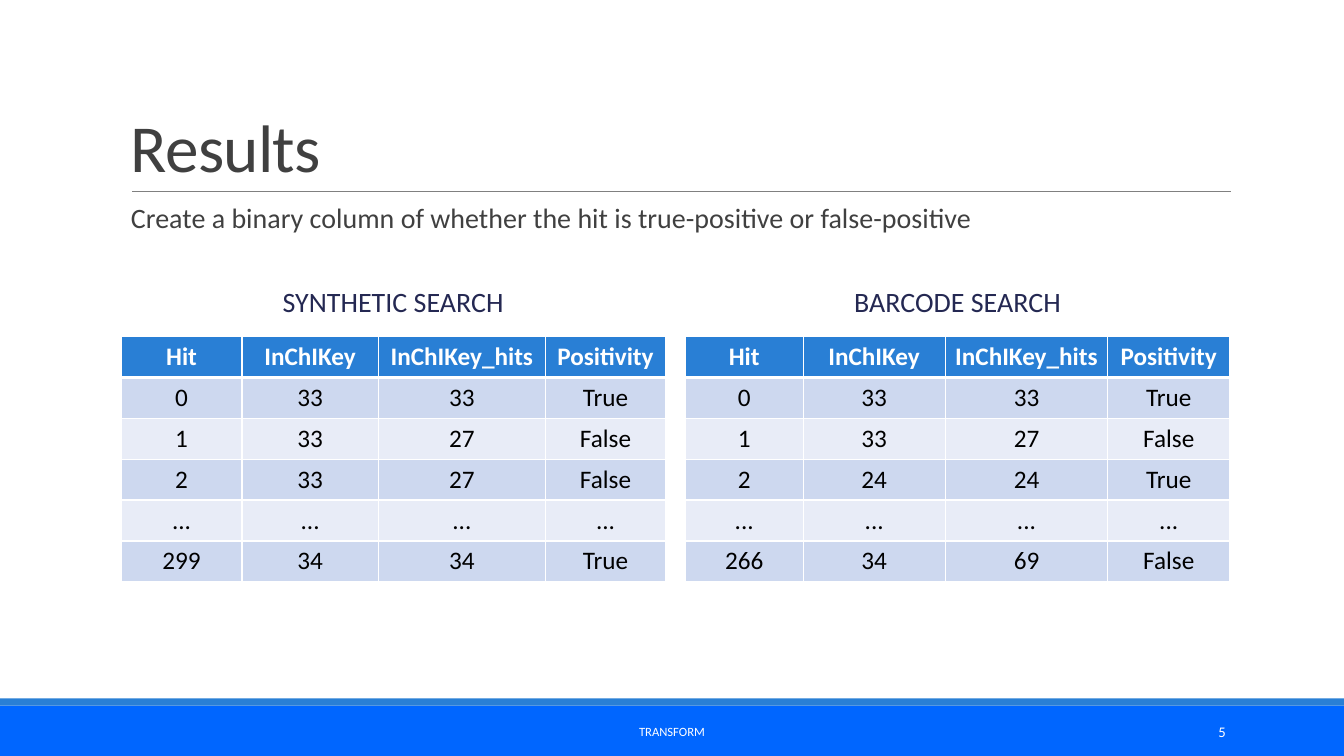
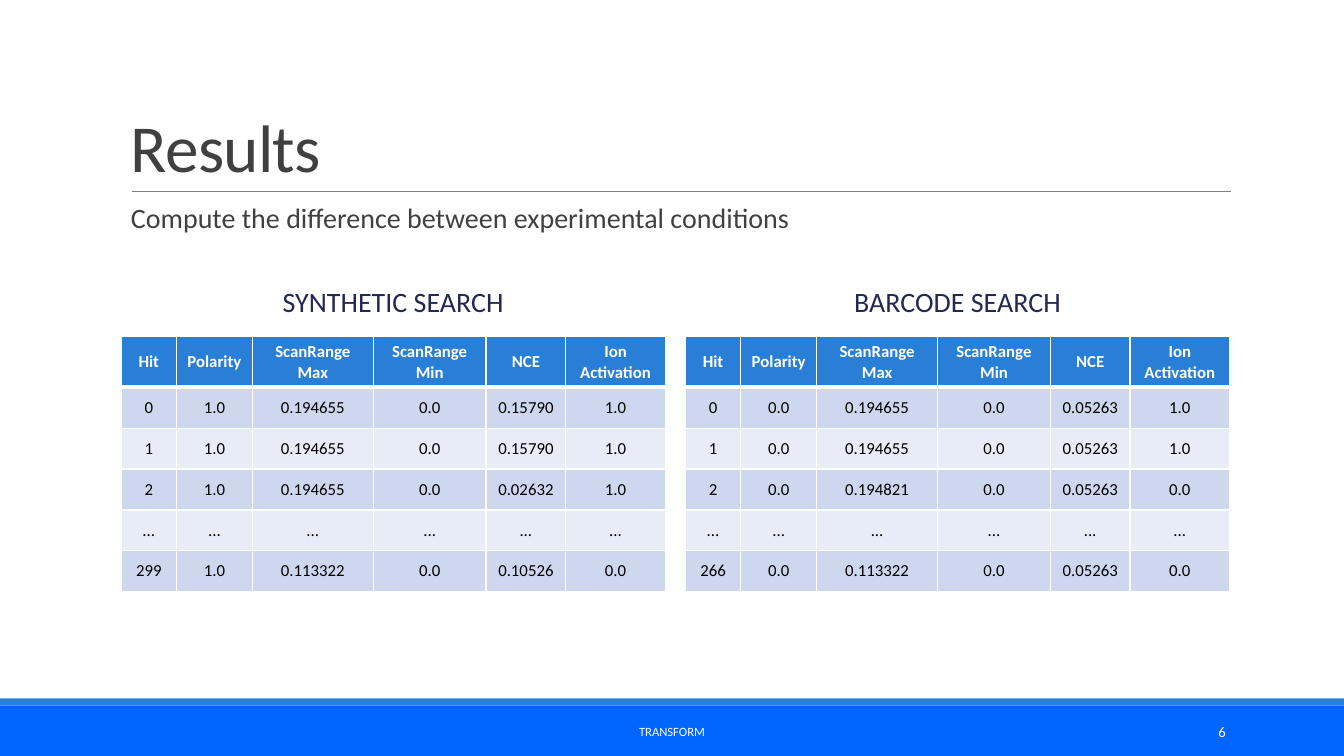
from pptx import Presentation
from pptx import util as u
from pptx.dml.color import RGBColor
from pptx.enum import shapes, text
from pptx.oxml import parse_xml
from pptx.oxml.ns import nsdecls
from pptx.util import Cm

FOOTER = RGBColor(0x00, 0x66, 0xFF)
ACCENT = RGBColor(0x29, 0x7F, 0xD5)
RULE = RGBColor(0x80, 0x80, 0x80)
INK = RGBColor(0x40, 0x40, 0x40)
NAVY = RGBColor(0x24, 0x28, 0x52)
WHITE = RGBColor(0xFF, 0xFF, 0xFF)
BLACK = RGBColor(0x00, 0x00, 0x00)
BANDS = (RGBColor(0xE8, 0xEC, 0xF7), RGBColor(0xCD, 0xD8, 0xEF))

FONT = "Calibri"
LEFT, CENTER, RIGHT = text.PP_ALIGN.LEFT, text.PP_ALIGN.CENTER, text.PP_ALIGN.RIGHT
TOP, MIDDLE, BOTTOM = text.MSO_ANCHOR.TOP, text.MSO_ANCHOR.MIDDLE, text.MSO_ANCHOR.BOTTOM

WIDTH, HEIGHT = 33.87, 19.05
MARGIN, CONTENT_W = 3.05, 27.94
PANEL_W, PANEL_TOP = 13.72, 6.99
PANEL_STEP = CONTENT_W - PANEL_W
CAPTION_H, TABLE_DROP, ROW_H = 1.3, 1.49, 1.03

TITLE = dict(size=48, color=INK, anchor=BOTTOM, para=dict(line_spacing=0.85))
BODY_PARA = dict(line_spacing=0.9, space_before=u.Pt(12), space_after=u.Pt(2))
LEAD = dict(size=20, color=INK, anchor=TOP, para=BODY_PARA)
CAPTION = dict(size=20, color=NAVY, anchor=MIDDLE, para=dict(BODY_PARA, alignment=CENTER))
FOOT_TEXT = dict(size=9, color=WHITE, anchor=MIDDLE, para=dict(alignment=CENTER))
FOOT_NUMBER = dict(size=10.5, color=WHITE, anchor=MIDDLE, para=dict(alignment=RIGHT))

HIT_HEADS = ["Hit", "InChIKey", "InChIKey_hits", "Positivity"]
CONDITION_HEADS = ["Hit", "Polarity", "ScanRange\nMax", "ScanRange\nMin", "NCE", "Ion\nActivation"]
CONDITION_COLS = (1.4, 1.91, 3.05, 2.84, 2.01, 2.51)

SLIDES = [
    dict(
        lead="Create a binary column of whether the hit is true-positive or false-positive",
        heads=HIT_HEADS, size=18, head_h=ROW_H,
        panels=[
            ("SYNTHETIC SEARCH", (3.05, 3.43, 4.22, 3.02),
             ["0 33 33 True", "1 33 27 False", "2 33 27 False",
              "... ... ... ...", "299 34 34 True"]),
            ("BARCODE SEARCH", (2.97, 3.58, 4.1, 3.07),
             ["0 33 33 True", "1 33 27 False", "2 24 24 True",
              "... ... ... ...", "266 34 69 False"]),
        ],
    ),
    dict(
        lead="Compute the difference between experimental conditions",
        heads=CONDITION_HEADS, size=12, head_h=1.28,
        panels=[
            ("SYNTHETIC SEARCH", CONDITION_COLS,
             ["0 1.0 0.194655 0.0 0.15790 1.0", "1 1.0 0.194655 0.0 0.15790 1.0",
              "2 1.0 0.194655 0.0 0.02632 1.0", "... ... ... ... ... ...",
              "299 1.0 0.113322 0.0 0.10526 0.0"]),
            ("BARCODE SEARCH", CONDITION_COLS,
             ["0 0.0 0.194655 0.0 0.05263 1.0", "1 0.0 0.194655 0.0 0.05263 1.0",
              "2 0.0 0.194821 0.0 0.05263 0.0", "... ... ... ... ... ...",
              "266 0.0 0.113322 0.0 0.05263 0.0"]),
        ],
    ),
]


def apply(obj, formats):
    for name, value in formats.items():
        setattr(obj, name, value)


def set_font(font, size, color, bold=False):
    apply(font, dict(name=FONT, size=u.Pt(size), bold=bold))
    font.color.rgb = color


def add_text(s, box, words, size, color, anchor, para):
    tf = s.shapes.add_textbox(*map(Cm, box)).text_frame
    apply(tf, dict(word_wrap=True, vertical_anchor=anchor))
    p = tf.paragraphs[0]
    apply(p, para)
    r = p.add_run()
    r.text = words
    set_font(r.font, size, color)
    return r


def add_band(s, box, color):
    sp = s.shapes.add_shape(shapes.MSO_SHAPE.RECTANGLE, *map(Cm, box))
    sp.shadow.inherit = False
    sp.fill.solid()
    sp.fill.fore_color.rgb = color
    sp.line.fill.background()


def add_footer(s, box, number):
    x, y, w, h = box
    add_band(s, box, FOOTER)
    add_band(s, (x, y - 0.18, w, 0.18), ACCENT)
    add_text(s, (x + 10.24, y + 0.15, 13.39, 1.02), "TRANSFORM", **FOOT_TEXT)
    add_text(s, (x + 27.51, y + 0.15, 3.63, 1.02), str(number), **FOOT_NUMBER)


def add_heading(s, box, title, lead):
    x, y, w, h = box
    line = s.shapes.add_connector(shapes.MSO_CONNECTOR.STRAIGHT,
                                  Cm(x + 0.28), Cm(y + h), Cm(x + w + 0.02), Cm(y + h))
    line.line.color.rgb = RULE
    line.line.width = u.Pt(0.5)
    line._element.spPr.append(parse_xml(f"<a:effectLst {nsdecls('a')}/>"))
    r = add_text(s, box, title, **TITLE)
    r._r.get_or_add_rPr().set("spc", "-50")
    add_text(s, (x, y + h + 0.2, w, 1.78), lead, **LEAD)


def set_borders(cell, top, bottom):
    tcPr = cell._tc.get_or_add_tcPr()
    for side, points in (("L", 1), ("R", 1), ("T", top), ("B", bottom)):
        tcPr.append(parse_xml(
            f"<a:ln{side} {nsdecls('a')} w='{u.Pt(points)}'>"
            f"<a:solidFill><a:srgbClr val='{WHITE}'/></a:solidFill></a:ln{side}>"))


def fill_cell(cell, words, size, row):
    head = row == 0
    cell.text = words
    apply(cell, dict(vertical_anchor=MIDDLE, margin_left=Cm(0.2), margin_right=Cm(0.2)))
    set_borders(cell, 3 if row == 1 else 1, 3 if head else 1)
    cell.fill.solid()
    cell.fill.fore_color.rgb = ACCENT if head else BANDS[row % 2]
    for p in cell.text_frame.paragraphs:
        p.alignment = CENTER
        set_font(p.runs[0].font, size, WHITE if head else BLACK, head)


def add_panel(s, x, y, caption, cols, heads, lines, size, head_h):
    add_text(s, (x, y, PANEL_W, CAPTION_H), caption, **CAPTION)
    rows = [heads] + [line.split() for line in lines]
    heights = [head_h] + [ROW_H] * len(lines)
    table = s.shapes.add_table(len(rows), len(cols), Cm(x), Cm(y + TABLE_DROP),
                               Cm(sum(cols)), Cm(sum(heights))).table
    table.horz_banding = False
    for col, w in zip(table.columns, cols):
        col.width = Cm(w)
    for i, (row, h) in enumerate(zip(table.rows, heights)):
        row.height = Cm(h)
        for cell, words in zip(row.cells, rows[i]):
            fill_cell(cell, words, size, i)


def add_results(prs, number, lead, heads, size, head_h, panels):
    s = prs.slides.add_slide(prs.slide_layouts[6])
    add_footer(s, (0, 17.78, WIDTH, HEIGHT - 17.78), number)
    add_heading(s, (MARGIN, 0.79, CONTENT_W, 4.04), "Results", lead)
    for i, (caption, cols, lines) in enumerate(panels):
        add_panel(s, MARGIN + i * PANEL_STEP, PANEL_TOP, caption, cols, heads, lines, size, head_h)


def main():
    prs = Presentation()
    apply(prs, dict(slide_width=Cm(WIDTH), slide_height=Cm(HEIGHT)))
    for number, content in enumerate(SLIDES, start=5):
        add_results(prs, number, **content)
    prs.save("out.pptx")


if __name__ == "__main__":
    main()
